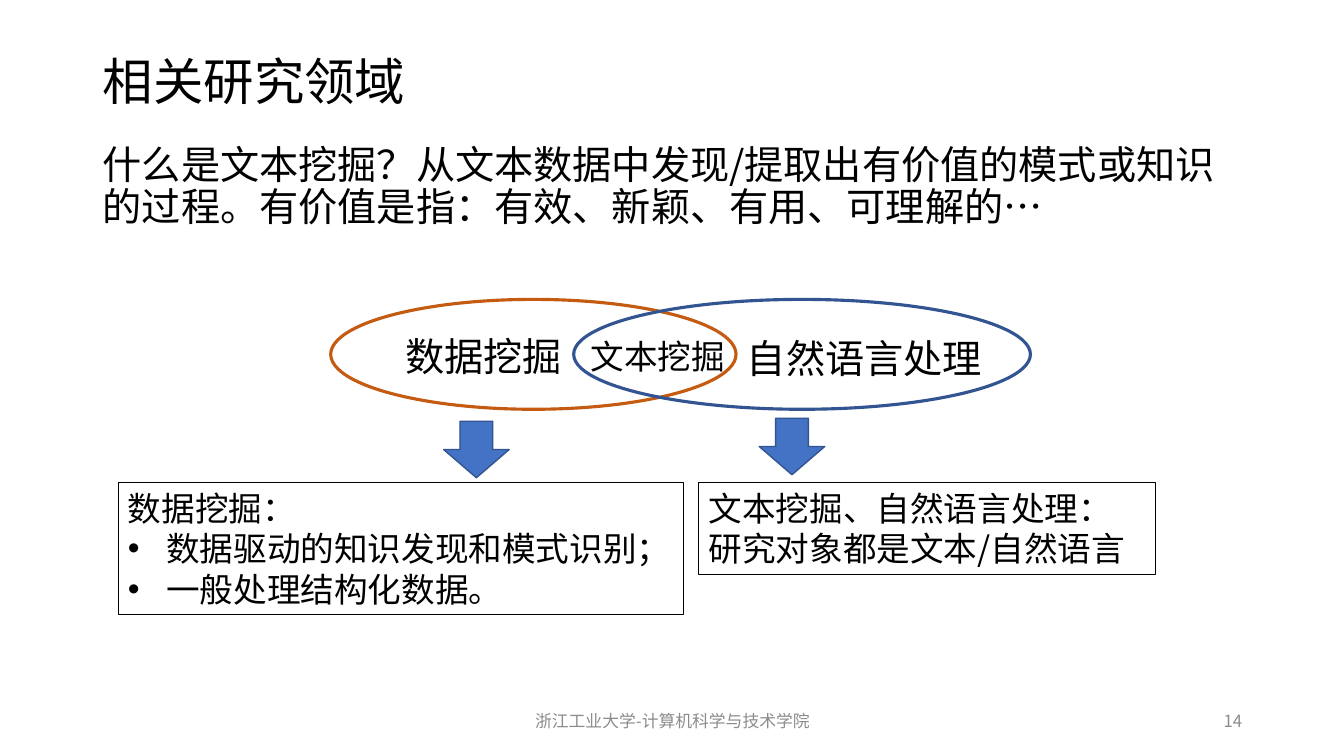
from lxml.etree import SubElement
from pptx import Presentation
from pptx.dml.color import RGBColor
from pptx.enum.shapes import MSO_SHAPE as Shape
from pptx.enum.text import MSO_ANCHOR as Anchor, MSO_AUTO_SIZE as AutoSize, PP_ALIGN as Align
from pptx.oxml.ns import qn
from pptx.util import Inches, Pt

FONT = "Noto Sans CJK SC"
BLACK, GREY = "000000", "8C8C8C"
ORANGE, BLUE, DARK_BLUE = "C55A11", "4472C4", "325491"


def rgb(value):
    return RGBColor.from_string(value)


class FieldsSlide:
    """Holds the slide and its style; one method per kind of element."""

    def __init__(self, deck):
        self.slide = deck.slides.add_slide(deck.slide_layouts[1])

    def set_text(self, shape, lines, size, color=BLACK, align=Align.LEFT,
                 anchor=Anchor.TOP, spacing=None, bullets_from=None):
        frame = shape.text_frame
        frame.word_wrap = True
        frame.auto_size = AutoSize.NONE
        frame.vertical_anchor = anchor
        frame.text = "\n".join(lines)
        for index, paragraph in enumerate(frame.paragraphs):
            paragraph.alignment = align
            paragraph.space_before = Pt(0)
            if spacing:
                paragraph.line_spacing = spacing
            props = paragraph._p.get_or_add_pPr()
            if bullets_from is not None and index >= bullets_from:
                props.set("marL", str(Inches(0.38)))
                props.set("indent", str(-Inches(0.38)))
                SubElement(props, qn("a:buFont"), typeface="Arial")
                SubElement(props, qn("a:buChar"), char="•")
            else:
                props.set("marL", "0")
                props.set("indent", "0")
                SubElement(props, qn("a:buNone"))
            font = paragraph.font
            font.size = Pt(size)
            font.color.rgb = rgb(color)
            font.name = FONT
            # East Asian typeface next to the Latin one
            SubElement(props.find(qn("a:defRPr")), qn("a:ea"), typeface=FONT)

    def placeholder(self, index, box, line, size, **style):
        holder = self.slide.placeholders[index]
        holder.left, holder.top, holder.width, holder.height = map(Inches, box)
        self.set_text(holder, [line], size, spacing=0.9, **style)

    def label(self, box, line, size, **style):
        self.set_text(self.slide.shapes.add_textbox(*map(Inches, box)), [line], size, **style)

    def outline(self, kind, box, color, width, fill=None):
        shape = self.slide.shapes.add_shape(kind, *map(Inches, box))
        shape.shadow.inherit = False
        if fill:
            shape.fill.solid()
            shape.fill.fore_color.rgb = rgb(fill)
        else:
            shape.fill.background()
        shape.line.color.rgb = rgb(color)
        shape.line.width = Pt(width)
        return shape

    def note(self, box, lines, width, **style):
        self.set_text(self.outline(Shape.RECTANGLE, box, BLACK, width), lines, 24, **style)


def main():
    deck = Presentation()
    deck.slide_width, deck.slide_height = Inches(13.33), Inches(7.5)
    page = FieldsSlide(deck)

    # Title and definition
    page.placeholder(0, (0.92, 0.38, 11.5, 0.92), "相关研究领域", 36, anchor=Anchor.MIDDLE)
    page.placeholder(1, (0.92, 1.39, 11.5, 1.18),
                     "什么是文本挖掘？从文本数据中发现/提取出有价值的模式或知识的过程。"
                     "有价值是指：有效、新颖、有用、可理解的…", 28)

    # Overlapping fields
    for left, width, color in ((3.28, 4.02, ORANGE), (5.69, 4.53, DARK_BLUE)):
        page.outline(Shape.OVAL, (left, 2.97, width, 1.09), color, 2.25)
    page.label((7.31, 3.27, 2.82, 0.57), "自然语言处理", 28)
    page.label((3.92, 3.25, 1.77, 0.57), "数据挖掘", 28)
    page.label((5.76, 3.28, 1.77, 0.5), "文本挖掘", 24)

    # Arrows down to the explanations
    for left, top in ((7.53, 4.15), (4.4, 4.18)):
        page.outline(Shape.DOWN_ARROW, (left, top, 0.65, 0.56), DARK_BLUE, 1, fill=BLUE)

    # Explanations
    page.note((6.93, 4.79, 4.53, 0.91),
              ["文本挖掘、自然语言处理：", "研究对象都是文本/自然语言"], 0.75)
    page.note((1.17, 4.79, 5.61, 1.31),
              ["数据挖掘：", "数据驱动的知识发现和模式识别；", "一般处理结构化数据。"],
              0.5, bullets_from=1)

    # Footer and page number
    page.label((4.42, 6.95, 4.5, 0.4), "浙江工业大学-计算机科学与技术学院", 12,
               color=GREY, align=Align.CENTER, anchor=Anchor.MIDDLE)
    page.label((9.42, 6.95, 3, 0.4), "14", 12,
               color=GREY, align=Align.RIGHT, anchor=Anchor.MIDDLE)

    deck.save("out.pptx")


if __name__ == "__main__":
    main()
